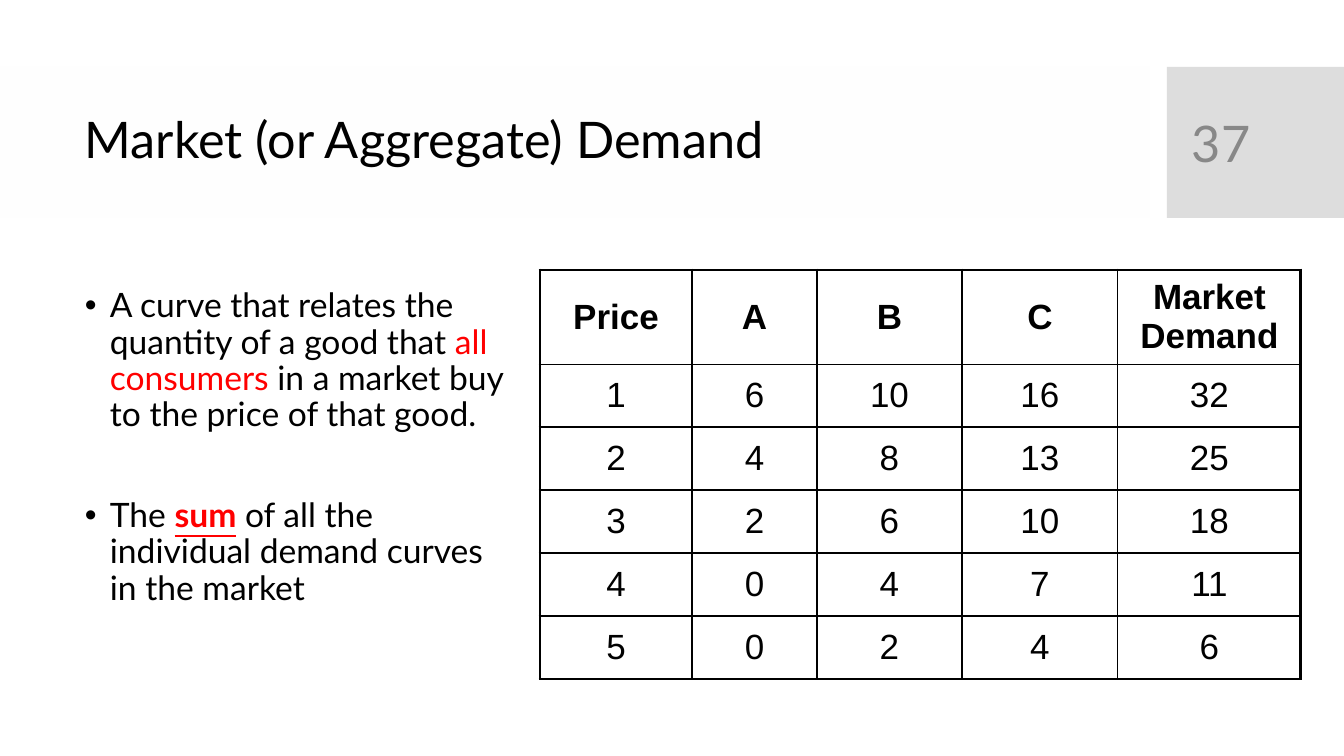
from lxml.etree import SubElement
from pptx import Presentation
from pptx.dml.color import RGBColor
from pptx.enum.shapes import MSO_SHAPE
from pptx.enum.text import MSO_ANCHOR, PP_ALIGN
from pptx.oxml.ns import qn
from pptx.util import Emu, Pt

COLORS = {
    "black": "000000", "red": "FF0000", "number": "888888",
    "band": "FEFEFE", "corner": "DDDDDD",
}
EMU_PER_PX = 12192000 / 1344


def px(length):
    return Emu(round(length * EMU_PER_PX))


def style(font, name, size, color, bold=False):
    font.name, font.size, font.bold = name, Pt(size), bold
    font.color.rgb = RGBColor.from_string(COLORS[color])


deck = Presentation()
deck.slide_width, deck.slide_height = px(1344), px(756)
page = deck.slides.add_slide(deck.slide_layouts[6])

# Header band and number corner
for left, width, color in [(0, 1150, "band"), (1167, 177, "corner")]:
    panel = page.shapes.add_shape(
        MSO_SHAPE.RECTANGLE, px(left), px(67), px(width), px(151))
    panel.shadow.inherit = False
    panel.fill.solid()
    panel.fill.fore_color.rgb = RGBColor.from_string(COLORS[color])
    panel.line.fill.background()

# Title and page number
for text, left, width, color, spacing in [
    ("Market (or Aggregate) Demand", 75, 1059, "black", 0.9),
    ("37", 1182, 127, "number", 1.0),
]:
    box = page.shapes.add_textbox(px(left), px(83), px(width), px(119))
    frame = box.text_frame
    frame.word_wrap = True
    frame.vertical_anchor = MSO_ANCHOR.MIDDLE
    frame.text = text
    para = frame.paragraphs[0]
    para.line_spacing = spacing
    style(para.runs[0].font, "Lato", 36, color)

# Bulleted definitions: (text, color, emphasised)
definitions = [
    [("A curve that relates the quantity of a good that ", "black", False),
     ("all consumers ", "red", False),
     ("in a market buy to the price of that good.", "black", False)],
    [("The ", "black", False),
     ("sum", "red", True),
     (" of all the individual demand curves in the market", "black", False)],
]
frame = page.shapes.add_textbox(px(75), px(284), px(443), px(428)).text_frame
frame.word_wrap = True
for index, spans in enumerate(definitions):
    para = frame.add_paragraph() if index else frame.paragraphs[0]
    para.line_spacing = 0.9
    para.space_before = Pt(46 if index else 0)
    properties = para._p.get_or_add_pPr()
    properties.set("marL", str(px(25)))
    properties.set("indent", str(-px(25)))
    bullet_color = SubElement(properties, qn("a:buClr"))
    SubElement(bullet_color, qn("a:srgbClr"), val=COLORS["black"])
    SubElement(properties, qn("a:buFont"), typeface="Arial")
    SubElement(properties, qn("a:buChar"), char="•")
    for text, color, emphasised in spans:
        span = para.add_run()
        span.text = text
        style(span.font, "Lato", 24, color, emphasised)
        span.font.underline = emphasised

# Demand table: market demand is the sum of A, B and C
demand = [(1, 6, 10, 16), (2, 4, 8, 13), (3, 2, 6, 10), (4, 0, 4, 7), (5, 0, 2, 4)]
rows = [("Price", "A", "B", "C", "Market Demand")]
rows += [(price, *amounts, sum(amounts)) for price, *amounts in demand]
column_widths = [152, 125, 145, 156, 183]
row_heights = [94] + [63] * len(demand)
last_row, last_column = len(rows) - 1, len(column_widths) - 1

table = page.shapes.add_table(
    len(rows), len(column_widths), px(540), px(270),
    px(sum(column_widths)), px(sum(row_heights))).table
table.first_row = table.horz_banding = False
for column, width in zip(table.columns, column_widths):
    column.width = px(width)
for row, height in zip(table.rows, row_heights):
    row.height = px(height)

for r, values in enumerate(rows):
    for c, value in enumerate(values):
        cell = table.cell(r, c)
        cell.text = str(value)
        cell.vertical_anchor = MSO_ANCHOR.MIDDLE
        para = cell.text_frame.paragraphs[0]
        para.alignment = PP_ALIGN.CENTER
        style(para.runs[0].font, "Arial", 25, "black", r == 0)
        # Thick outer frame, thin inner rules; the fill follows the borders
        outer_sides = {"L": c == 0, "R": c == last_column,
                       "T": r == 0, "B": r == last_row}
        for side, outer in outer_sides.items():
            border = SubElement(cell._tc.get_or_add_tcPr(), qn(f"a:ln{side}"),
                                w=str(Pt(2.25 if outer else 1)))
            fill = SubElement(border, qn("a:solidFill"))
            SubElement(fill, qn("a:srgbClr"), val=COLORS["black"])
        cell.fill.background()

deck.save("out.pptx")
